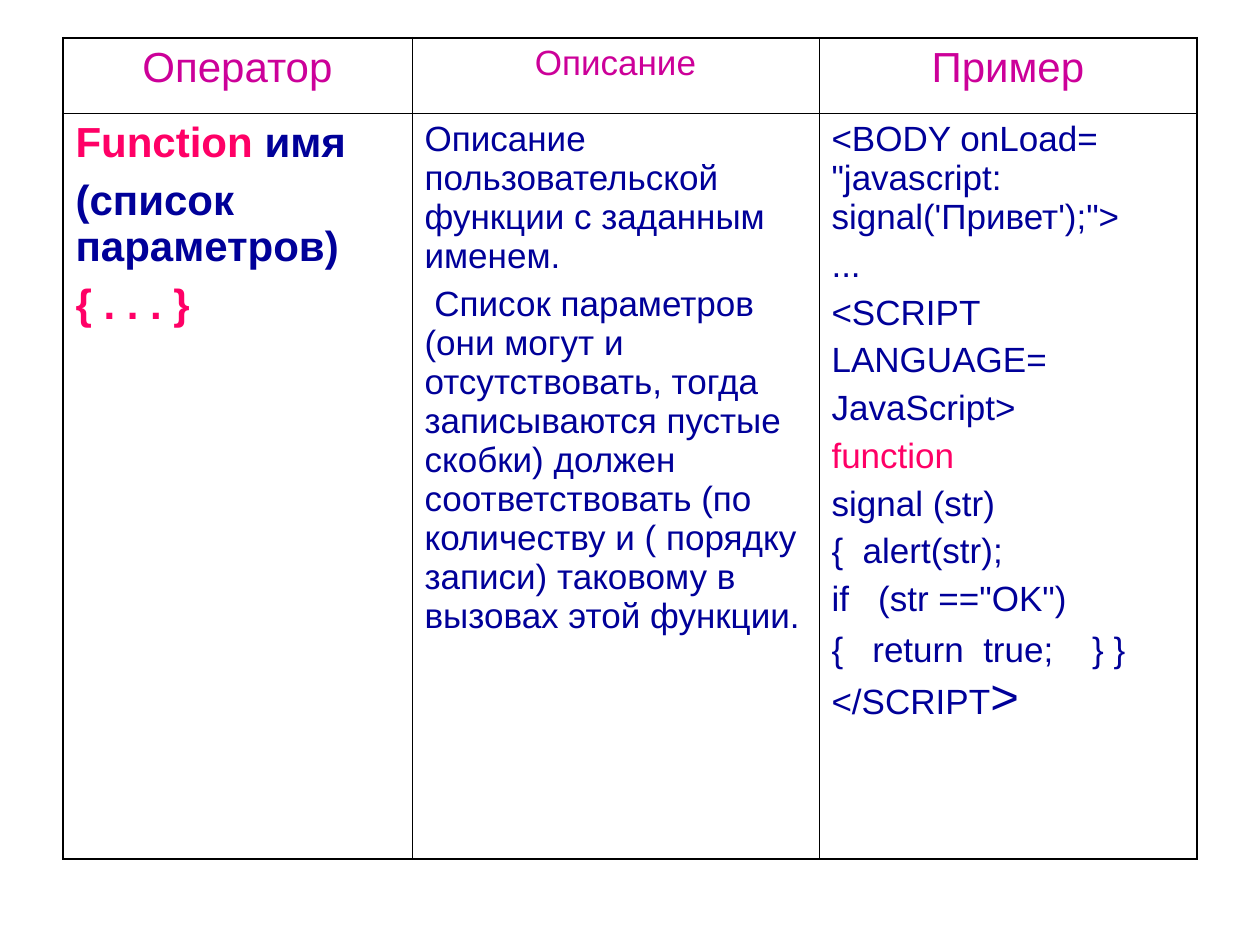
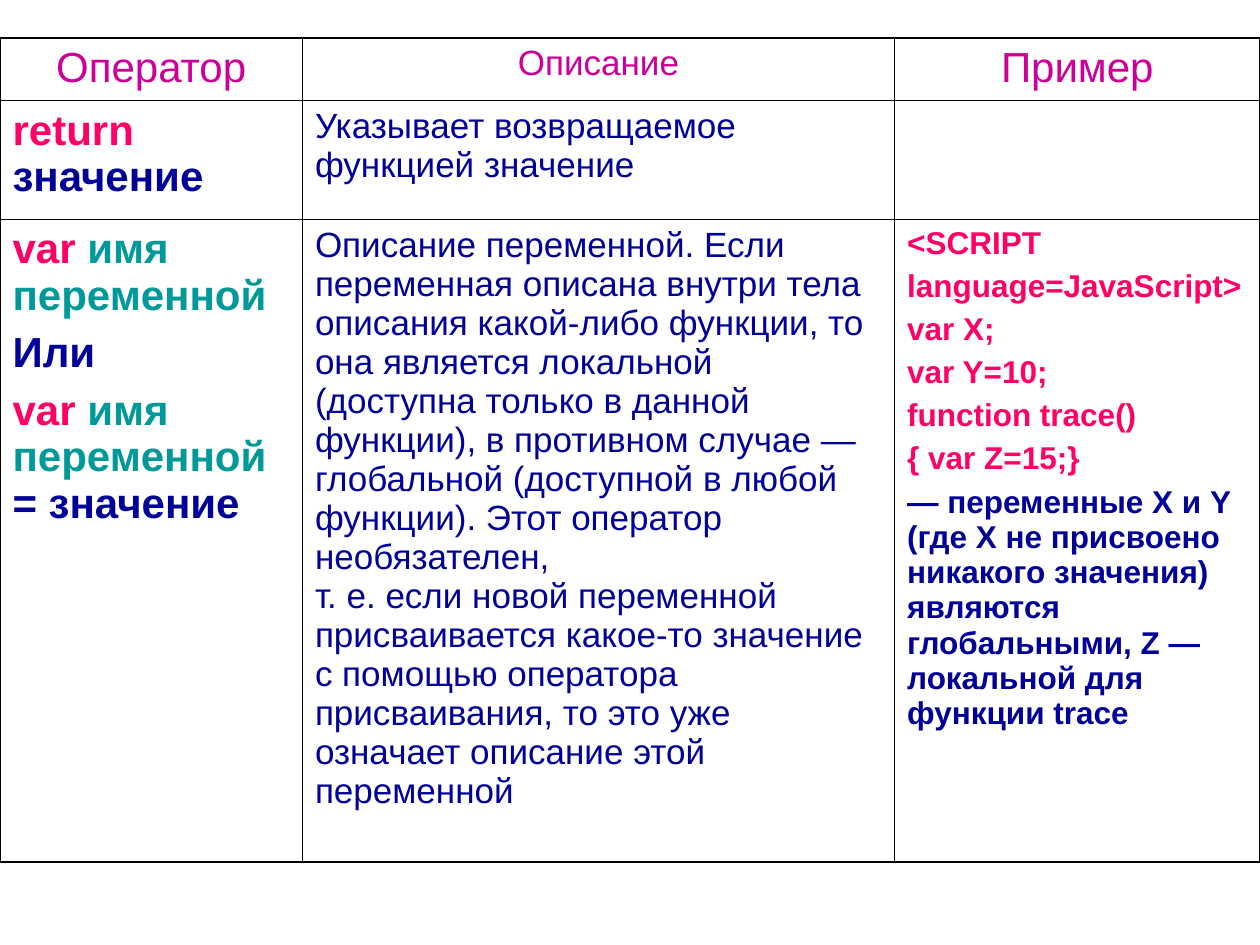
"""Build two slides of JavaScript operator tables."""
from lxml.etree import SubElement as Sub
from pptx import Presentation
from pptx.dml.color import RGBColor as Rgb
from pptx.enum.text import PP_ALIGN as Align
from pptx.oxml.ns import qn
from pptx.util import Inches, Pt

PLUM, PINK, NAVY, TEAL = "CC0099", "FF0066", "000099", "009999"
LINE, FACE = "000000", "Arial"
THICK, THIN = 1.08, 0.45
HEAD = {"size": 24, "bold": False, "align": Align.CENTER}
KEY = {"size": 24, "bold": True, "align": Align.LEFT}
TEXT = {"size": 20, "bold": False, "align": Align.LEFT}
CODE = {"size": 18, "bold": True, "align": Align.LEFT}

TITLES = [
    (HEAD, [[("Оператор", PLUM)]]),
    (HEAD | {"size": 20}, [[("Описание", PLUM)]]),
    (HEAD, [[("Пример", PLUM)]]),
]

TABLES = [
    {
        "at": (0.5, 0.3),
        "cols": (2.77, 3.23, 3),
        "rows": (0.6, 5.92),
        "cells": [
            TITLES,
            [
                (KEY, [
                    [("Function ", PINK), ("имя", NAVY)],
                    [("(список параметров)", NAVY)],
                    [("{ . . . }", PINK)],
                ]),
                (TEXT, [
                    [("Описание пользовательской функции с заданным именем.", NAVY)],
                    [(" Список параметров (они могут и отсутствовать, тогда "
                      "записываются пустые скобки) должен соответствовать (по "
                      "количеству и ( порядку записи) таковому в вызовах этой "
                      "функции.", NAVY)],
                ]),
                (TEXT, [
                    [("<BODY onLoad= \"javascript: signal('Привет');\">", NAVY)],
                    [("...", NAVY)],
                    [("<SCRIPT", NAVY)],
                    [("LANGUAGE=", NAVY)],
                    [("JavaScript>", NAVY)],
                    [("function", PINK)],
                    [("signal (str)", NAVY)],
                    [("{  alert(str);", NAVY)],
                    [('if   (str =="OK")', NAVY)],
                    [("{   return  true;    } } </SCRIPT", NAVY), (">", NAVY, 28)],
                ]),
            ],
        ],
    },
    {
        "at": (0, 0.3),
        "cols": (2.4, 4.7, 2.9),
        "rows": (0.5, 0.94, 5.1),
        "cells": [
            TITLES,
            [
                (KEY, [[("return ", PINK), ("значение", NAVY)]]),
                (TEXT, [[("Указывает возвращаемое функцией значение", NAVY)]]),
                (TEXT, []),
            ],
            [
                (KEY, [
                    [("var ", PINK), ("имя переменной", TEAL)],
                    [("Или", NAVY)],
                    [("var ", PINK), ("имя переменной ", TEAL), ("= значение", NAVY)],
                ]),
                (TEXT, [
                    [("Описание переменной. Если переменная описана внутри тела "
                      "описания какой-либо функции, то она является локальной "
                      "(доступна только в данной функции), в противном случае — "
                      "глобальной (доступной в любой функции). Этот оператор "
                      "необязателен,", NAVY),
                     ("\n", NAVY),
                     ("т. е. если новой переменной присваивается какое-то значение "
                      "с помощью оператора присваивания, то это уже означает "
                      "описание этой переменной", NAVY)],
                ]),
                (CODE, [
                    [("<SCRIPT", PINK)],
                    [("language=JavaScript>", PINK)],
                    [("var X;", PINK)],
                    [("var Y=10;", PINK)],
                    [("function trace()", PINK)],
                    [("{ var Z=15;}", PINK)],
                    [("— переменные Х и Y (где Х не присвоено никакого значения) "
                      "являются глобальными, Z — локальной для функции trace", NAVY)],
                ]),
            ],
        ],
    },
]


def tint(font, hue):
    font.color.rgb = Rgb.from_string(hue)


def write(cell, form, paras):
    frame = cell.text_frame
    for i, runs in enumerate(paras):
        para = frame.add_paragraph() if i else frame.paragraphs[0]
        top = max([form["size"], *(size for _, _, *rest in runs for size in rest)])
        for name, val in {"alignment": form["align"], "space_before": Pt(top / 4)}.items():
            setattr(para, name, val)
        for text, hue, *rest in runs:
            if text == "\n":
                para.add_line_break()
                continue
            run = para.add_run()
            run.text = text
            size = rest[0] if rest else form["size"]
            for name, val in {"name": FACE, "size": Pt(size), "bold": form["bold"]}.items():
                setattr(run.font, name, val)
            tint(run.font, hue)


def edge(cell, sides):
    props = cell._tc.get_or_add_tcPr()
    for side, outer in sides.items():
        line = Sub(props, qn(f"a:ln{side}"), w=str(Pt(THICK if outer else THIN)))
        Sub(Sub(line, qn("a:solidFill")), qn("a:srgbClr"), val=LINE)
    cell.fill.background()


def draw(slide, data):
    cols, rows = data["cols"], data["rows"]
    spot = [Inches(n) for n in (*data["at"], sum(cols), sum(rows))]
    table = slide.shapes.add_table(len(rows), len(cols), *spot).table
    for name in ("first_row", "horz_banding"):
        setattr(table, name, False)
    for col, wide in zip(table.columns, cols):
        col.width = Inches(wide)
    for row, high in zip(table.rows, rows):
        row.height = Inches(high)
    for r, line in enumerate(data["cells"]):
        for c, (form, paras) in enumerate(line):
            cell = table.cell(r, c)
            write(cell, form, paras)
            edge(cell, {"L": c == 0, "R": c == len(cols) - 1,
                        "T": r == 0, "B": r == len(rows) - 1})


def main():
    deck = Presentation()
    deck.slide_width, deck.slide_height = Inches(10), Inches(7.5)
    for data in TABLES:
        draw(deck.slides.add_slide(deck.slide_layouts[6]), data)
    deck.save("out.pptx")


if __name__ == "__main__":
    main()
